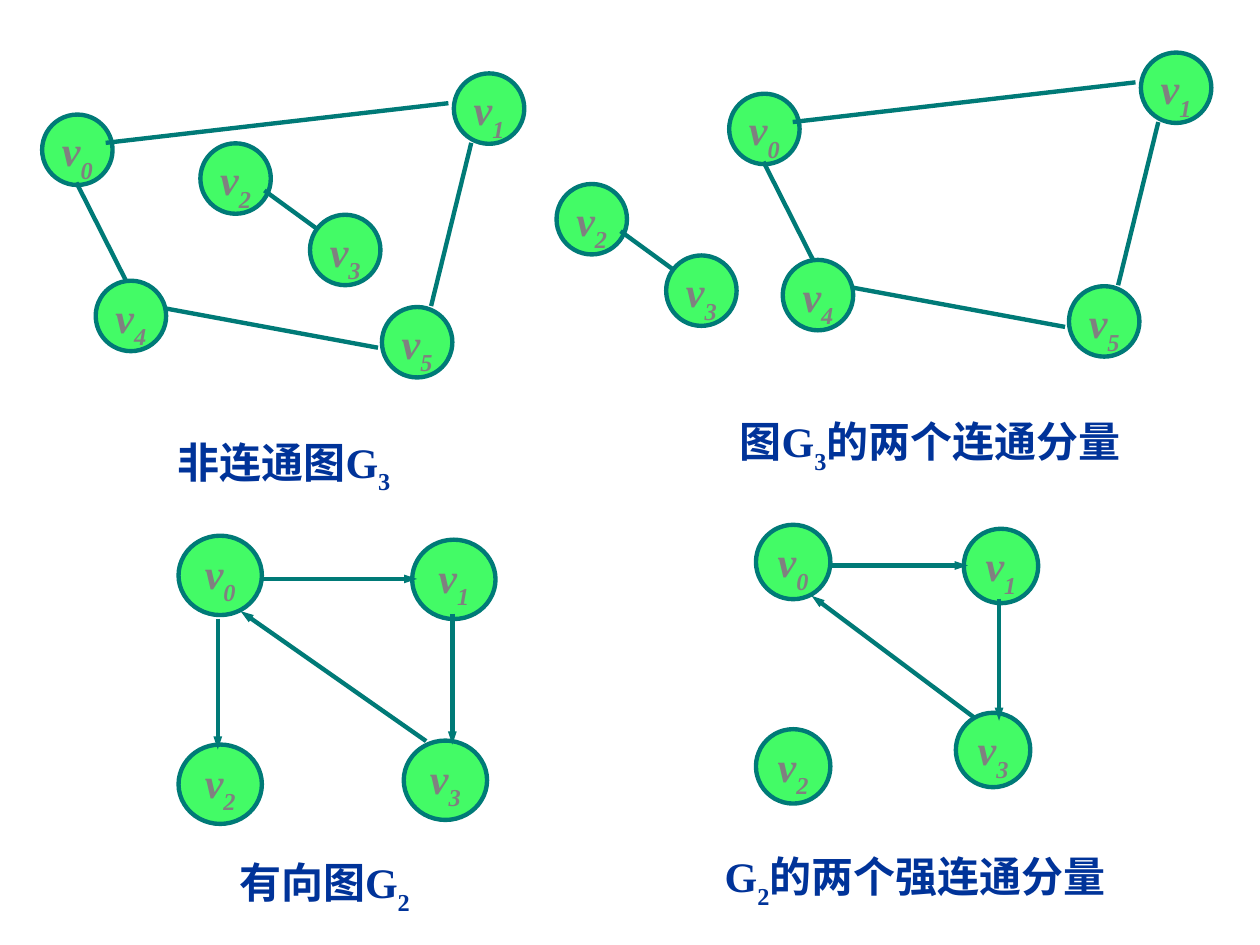
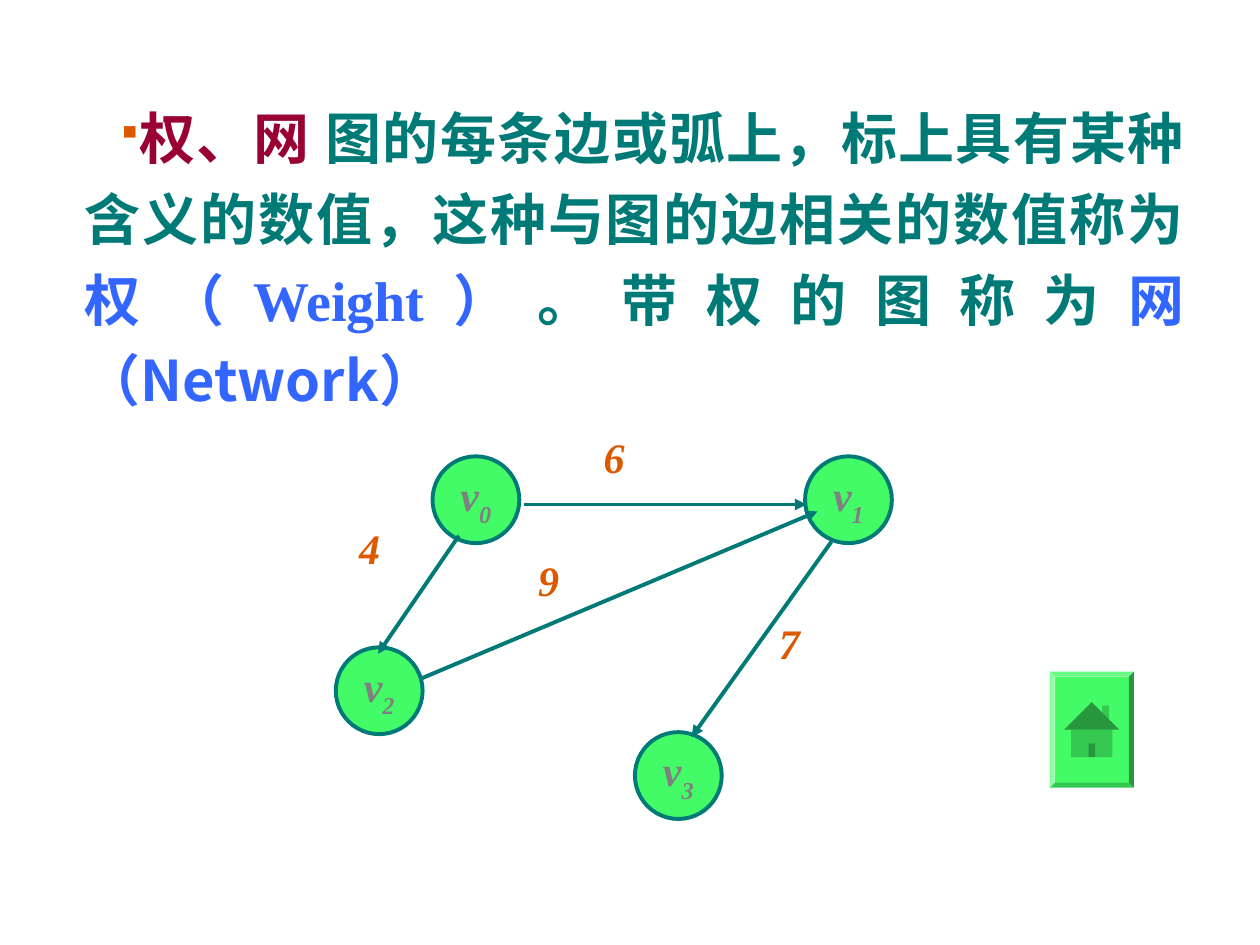
import dataclasses

import lxml.etree
import pptx
import pptx.dml.color
import pptx.enum.dml
import pptx.enum.shapes
import pptx.enum.text
import pptx.oxml.ns
import pptx.util

Cm = pptx.util.Cm
Pt = pptx.util.Pt
RGB = pptx.dml.color.RGBColor.from_string
qn = pptx.oxml.ns.qn
SHAPE = pptx.enum.shapes.MSO_SHAPE
ALIGN = pptx.enum.text.PP_ALIGN
ANCHOR = pptx.enum.text.MSO_ANCHOR
AUTO = pptx.enum.text.MSO_AUTO_SIZE


@dataclasses.dataclass(frozen=True)
class Theme:
    node: str = "43FB66"
    edge: str = "007A77"
    label: str = "808080"
    caption: str = "003399"
    weight: str = "DC5900"
    term: str = "990033"
    key: str = "3366FF"
    latin: str = "Times New Roman"
    cjk: str = "Noto Sans CJK SC"
    graph_size: int = 24
    body_size: int = 32


T = Theme()


def add_run(p, text, color, font=T.latin, size=T.graph_size, italic=False, sub=False):
    r = p.add_run()
    r.text = text
    r.font.size = Pt(size)
    r.font.bold = True
    r.font.italic = italic
    r.font.color.rgb = RGB(color)
    r.font.name = font
    rPr = r._r.get_or_add_rPr()
    lxml.etree.SubElement(rPr, qn("a:ea")).set("typeface", T.cjk)
    if sub:
        rPr.set("baseline", "-30000")


def add_graph(shapes, nodes, size, edges, line_width, arrow=None, shift=(0, 0)):
    dx, dy = shift
    for index, (x, y) in nodes.items():
        sp = shapes.add_shape(SHAPE.OVAL, Cm(x + dx), Cm(y + dy), Cm(size[0]), Cm(size[1]))
        sp.shadow.inherit = False
        sp.fill.solid()
        sp.fill.fore_color.rgb = RGB(T.node)
        sp.line.color.rgb = RGB(T.edge)
        sp.line.width = Pt(line_width)
        tf = sp.text_frame
        tf.margin_left = tf.margin_right = tf.margin_top = tf.margin_bottom = 0
        tf.vertical_anchor = ANCHOR.TOP
        p = tf.paragraphs[0]
        p.alignment = ALIGN.CENTER
        add_run(p, "v", T.label, italic=True)
        add_run(p, str(index), T.label, italic=True, sub=True)
    for x1, y1, x2, y2 in edges:
        cx = shapes.add_connector(
            pptx.enum.shapes.MSO_CONNECTOR.STRAIGHT,
            Cm(x1 + dx), Cm(y1 + dy), Cm(x2 + dx), Cm(y2 + dy),
        )
        cx.line.color.rgb = RGB(T.edge)
        cx.line.width = Pt(line_width)
        spPr = cx._element.spPr
        lxml.etree.SubElement(spPr, qn("a:effectLst"))
        if arrow:
            end = lxml.etree.SubElement(spPr.find(qn("a:ln")), qn("a:tailEnd"))
            end.set("type", "triangle")
            end.set("w", arrow)
            end.set("len", "med")


prs = pptx.Presentation()
prs.slide_width = Cm(25.4)
prs.slide_height = Cm(19.05)
blank = prs.slide_layouts[6]

s = prs.slides.add_slide(blank)

ring_nodes = {0: (0.85, 2.31), 1: (9.15, 1.48), 4: (1.93, 5.66), 5: (7.7, 6.19)}
ring_edges = [
    (1.54, 3.68, 2.54, 5.66),
    (3.35, 6.22, 7.62, 7.01),
    (9.5, 2.88, 8.69, 6.17),
    (2.13, 2.88, 9.04, 2.08),
]
pair_nodes = {2: (4.04, 2.89), 3: (6.25, 4.33)}
pair_edges = [(5.33, 3.84, 6.4, 4.62)]
g3, g3_parts, g2, g2_parts = [s.shapes.add_group_shape().shapes for _ in range(4)]

for shapes, ring_shift, pair_shift in [
    (g3, (0, 0), (0, 0)),
    (g3_parts, (13.85, -0.42), (7.18, 0.82)),
]:
    add_graph(shapes, pair_nodes, (1.42, 1.42), pair_edges, 2.5, shift=pair_shift)
    add_graph(shapes, ring_nodes, (1.42, 1.42), ring_edges, 2.5, shift=ring_shift)

add_graph(
    g2,
    {0: (3.6, 10.8), 1: (8.31, 10.88), 2: (3.6, 15.01), 3: (8.14, 14.93)},
    (1.68, 1.6),
    [
        (5.28, 11.67, 8.41, 11.67),
        (4.39, 12.47, 4.39, 15.11),
        (8.59, 14.94, 4.85, 12.32),
        (9.12, 12.37, 9.12, 15.01),
    ],
    2.5,
    arrow="sm",
)
add_graph(
    g2_parts,
    {0: (15.24, 10.58), 1: (19.43, 10.66), 2: (15.24, 14.7), 3: (19.27, 14.37)},
    (1.5, 1.5),
    [
        (16.74, 11.4, 19.51, 11.4),
        (19.66, 14.48, 16.36, 12.01),
        (20.14, 12.07, 20.14, 14.53),
    ],
    2.5,
    arrow="sm",
)

captions = [
    (g3, (3.33, 8.67, 5.23, 1.45), True, "非连通图", "3", ""),
    (g3_parts, (14.66, 8.26, 8.59, 1.45), True, "图", "3", "的两个连通分量"),
    (g2, (4.57, 17.15, 4.4, 1.45), True, "有向图", "2", ""),
    (g2_parts, (14.61, 17.15, 8.05, 1.07), False, "", "2", "的两个强连通分量"),
]
for shapes, box, padded, before, index, after in captions:
    tf = shapes.add_textbox(*map(Cm, box)).text_frame
    tf.word_wrap = not padded
    if padded:
        tf.auto_size = AUTO.SHAPE_TO_FIT_TEXT
    else:
        tf.margin_left = tf.margin_right = tf.margin_top = tf.margin_bottom = 0
    p = tf.paragraphs[0]
    if before:
        add_run(p, before, T.caption, T.cjk)
    add_run(p, "G", T.caption)
    add_run(p, index, T.caption, sub=True)
    if after:
        add_run(p, after, T.caption, T.cjk)

s = prs.slides.add_slide(blank)

network = s.shapes.add_group_shape().shapes
add_graph(
    network,
    {0: (8.72, 9.2), 1: (16.23, 9.2), 2: (6.77, 13.05), 3: (12.8, 14.76)},
    (1.75, 1.75),
    [
        (10.57, 10.17, 16.26, 10.17),
        (16.76, 10.92, 13.94, 14.86),
        (9.25, 10.8, 7.62, 13.18),
        (8.51, 13.67, 16.48, 10.31),
    ],
    2.25,
    arrow="med",
)
weights = {"4": (7.24, 10.54), "9": (10.85, 11.18), "6": (12.17, 8.69), "7": (15.7, 12.45)}
for weight, (x, y) in weights.items():
    tf = network.add_textbox(Cm(x), Cm(y), Cm(0.91), Cm(1.12)).text_frame
    tf.word_wrap = True
    tf.margin_left = tf.margin_right = tf.margin_top = tf.margin_bottom = 0
    add_run(tf.paragraphs[0], weight, T.weight, italic=True)

tf = s.shapes.add_textbox(Cm(0.84), Cm(1.7), Cm(23.29), Cm(5.13)).text_frame
tf.word_wrap = True
tf.auto_size = AUTO.SHAPE_TO_FIT_TEXT
p = tf.paragraphs[0]
pPr = p._p.get_or_add_pPr()
pPr.set("marL", str(Cm(0.61)))
pPr.set("indent", str(Cm(0.74)))
buClr = lxml.etree.SubElement(pPr, qn("a:buClr"))
lxml.etree.SubElement(buClr, qn("a:srgbClr")).set("val", T.weight)
lxml.etree.SubElement(pPr, qn("a:buSzPct")).set("val", "70000")
lxml.etree.SubElement(pPr, qn("a:buFont")).set("typeface", "Wingdings")
lxml.etree.SubElement(pPr, qn("a:buChar")).set("char", "§")
p.alignment = ALIGN.JUSTIFY
p.line_spacing = 1.2
for text, color, font in [
    ("权、网", T.term, T.cjk),
    (" 图的每条边或弧上，标上具有某种含义的数值，这种与图的边相关的数值称为", T.edge, T.cjk),
    ("权", T.key, T.cjk),
    ("（Weight）", T.key, T.latin),
    ("。带权的图称为", T.edge, T.cjk),
    ("网（Network）", T.key, T.cjk),
]:
    add_run(p, text, color, font, T.body_size)

for button, inset in [(SHAPE.BEVEL, 0), (SHAPE.ACTION_BUTTON_HOME, 0.11)]:
    sp = s.shapes.add_shape(
        button,
        Cm(21.16 + inset), Cm(13.54 + inset), Cm(1.7 - 2 * inset), Cm(2.34 - 2 * inset),
    )
    sp.shadow.inherit = False
    sp.fill.solid()
    sp.fill.fore_color.rgb = RGB(T.node)
    sp.line.fill.background()
    if button == SHAPE.BEVEL:
        sp.adjustments[0] = 0.06

prs.save("out.pptx")
